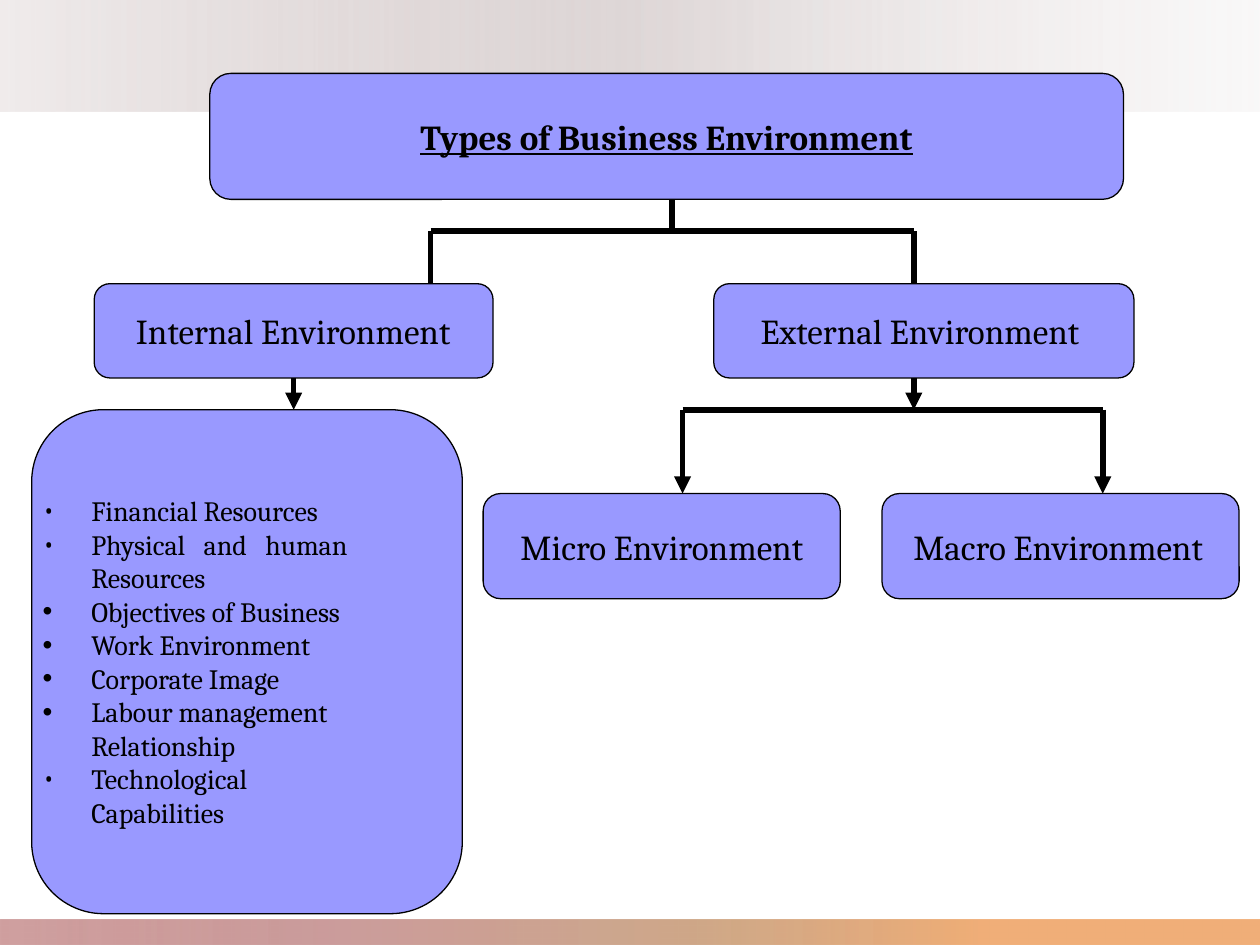
import lxml.etree
import pptx
import pptx.dml.color
import pptx.enum.shapes
import pptx.enum.text
import pptx.oxml.ns
import pptx.util

Cm, Pt = pptx.util.Cm, pptx.util.Pt
qn = pptx.oxml.ns.qn
KIND = pptx.enum.shapes.MSO_SHAPE
ALIGN = pptx.enum.text.PP_ALIGN
ANCHOR = pptx.enum.text.MSO_ANCHOR

FONT = "Cambria"
HUES = {"ink": "000000", "box": "9999FF"}

TITLE = "Types of Business Environment"
# text, bullet font, alignment
ITEMS = [
    ("Financial Resources", FONT, ALIGN.LEFT),
    ("Physical and human Resources", FONT, ALIGN.JUSTIFY),
    ("Objectives of Business", "Arial", ALIGN.LEFT),
    ("Work Environment", "Arial", ALIGN.LEFT),
    ("Corporate Image", "Arial", ALIGN.LEFT),
    ("Labour management Relationship", "Arial", ALIGN.LEFT),
    ("Technological Capabilities", FONT, ALIGN.LEFT),
]
# top, height, then stops of position, colour and opacity, all in percent
BANDS = [
    (0, 2.24, [(0, "B29D9D", 19), (50, "CFC4C4", 68), (100, "E7E2E2", 22)]),
    (18.54, 0.51, [(0, "800000", 37), (27, "953735", 49),
                   (55, "984807", 47), (78, "E46C0A", 55)]),
]
# left, top, width, height in cm
HEAD = (4.23, 1.48, 18.42, 2.54)
PANEL = (0.64, 8.26, 8.68, 10.16)
LIST = (0.86, 9.96, 6.15, 6.75)
# label, place, left inset
NODES = [
    ("Internal Environment", (1.9, 5.72, 8.04, 1.9), 0.75),
    ("External Environment", (14.39, 5.72, 8.47, 1.9), 0.85),
    ("Micro Environment", (9.74, 9.95, 7.2, 2.12), 0.65),
    ("Macro Environment", (17.78, 9.95, 7.2, 2.12), 0.53),
]
# x and y of both ends, arrow or not
LINES = [
    (13.55, 4.02, 13.55, 4.66, False),
    (8.68, 4.66, 18.42, 4.66, False),
    (8.68, 4.66, 8.68, 5.72, False),
    (18.42, 4.66, 18.42, 5.72, False),
    (18.42, 7.62, 18.42, 8.26, True),
    (13.76, 8.26, 22.23, 8.26, False),
    (13.76, 8.26, 13.76, 9.95, True),
    (22.23, 8.26, 22.23, 9.95, True),
]
STEM = (5.92, 7.62, 5.92, 8.26, True)


def tone(name):
    return pptx.dml.color.RGBColor.from_string(HUES[name])


def add(node, tag, **attrs):
    return lxml.etree.SubElement(node, qn(tag), attrs)


def write(para, text, size, bold=False):
    run = para.add_run()
    run.text = text
    font = run.font
    font.name, font.size, font.bold = FONT, Pt(size), bold
    font.color.rgb = tone("ink")
    return run


def setup(frame, anchor, left=0):
    frame.word_wrap = True
    frame.auto_size = pptx.enum.text.MSO_AUTO_SIZE.NONE
    frame.vertical_anchor = anchor
    frame.margin_left = Cm(left)
    frame.margin_top = frame.margin_right = frame.margin_bottom = 0


def place(shape, spot):
    shape.left, shape.top, shape.width, shape.height = map(Cm, spot)


def add_band(slide, top, height, stops):
    band = slide.shapes.add_shape(KIND.RECTANGLE, 0, Cm(top), Cm(25.4), Cm(height))
    band.shadow.inherit = False
    band.line.fill.background()
    band.fill.gradient()
    band.fill.gradient_angle = 0
    ramp = band._element.spPr.find(".//" + qn("a:gsLst"))
    for old in list(ramp):
        ramp.remove(old)
    for pos, hue, alpha in stops:
        stop = add(ramp, "a:gs", pos=str(pos * 1000))
        add(add(stop, "a:srgbClr", val=hue), "a:alpha", val=str(alpha * 1000))


def add_box(slide, spot):
    box = slide.shapes.add_shape(KIND.ROUNDED_RECTANGLE, *map(Cm, spot))
    box.shadow.inherit = False
    box.fill.solid()
    box.fill.fore_color.rgb = tone("box")
    box.line.color.rgb = tone("ink")
    box.line.width = Pt(0.75)
    return box


def add_node(slide, label, spot, inset):
    box = add_box(slide, spot)
    setup(box.text_frame, ANCHOR.MIDDLE, inset)
    para = box.text_frame.paragraphs[0]
    para.alignment = ALIGN.LEFT
    write(para, label, 20)
    return box


def add_line(slide, *ends, arrow):
    line = slide.shapes.add_connector(
        pptx.enum.shapes.MSO_CONNECTOR.STRAIGHT, *map(Cm, ends))
    line.line.color.rgb = tone("ink")
    line.line.width = Pt(3.25)
    if arrow:
        add(line.line._get_or_add_ln(), "a:tailEnd", type="triangle")
    add(line._element.spPr, "a:effectLst")
    return line


def fill_title(shape):
    place(shape, HEAD)
    setup(shape.text_frame, ANCHOR.MIDDLE)
    para = shape.text_frame.paragraphs[0]
    para.alignment = ALIGN.CENTER
    write(para, TITLE, 20, bold=True).font.underline = True


def fill_list(shape):
    place(shape, LIST)
    frame = shape.text_frame
    setup(frame, ANCHOR.TOP)
    for i, (text, face, align) in enumerate(ITEMS):
        para = frame.add_paragraph() if i else frame.paragraphs[0]
        props = para._p.get_or_add_pPr()
        props.set("marL", str(Cm(0.98)))
        props.set("indent", str(-Cm(0.98)))
        add(props, "a:buFont", typeface=face)
        add(props, "a:buChar", char="•")
        para.alignment = align
        para.space_before = Pt(0)
        para.line_spacing = Pt(19.15)
        write(para, text, 16)


def main():
    deck = pptx.Presentation()
    deck.slide_width, deck.slide_height = Cm(25.4), Cm(19.05)
    slide = deck.slides.add_slide(deck.slide_layouts[1])
    title, body = slide.placeholders
    for band in BANDS:
        add_band(slide, *band)
    add_box(slide, HEAD)
    add_box(slide, PANEL)
    nodes = [add_node(slide, *node) for node in NODES]
    for *ends, arrow in LINES:
        add_line(slide, *ends, arrow=arrow)
    *ends, arrow = STEM
    add_line(slide, *ends, arrow=arrow).begin_connect(nodes[0], 2)
    fill_title(title)
    fill_list(body)
    for shape in (title, body):  # bring the text in front of its box
        slide.shapes._spTree.append(shape._element)
    deck.save("out.pptx")


if __name__ == "__main__":
    main()
